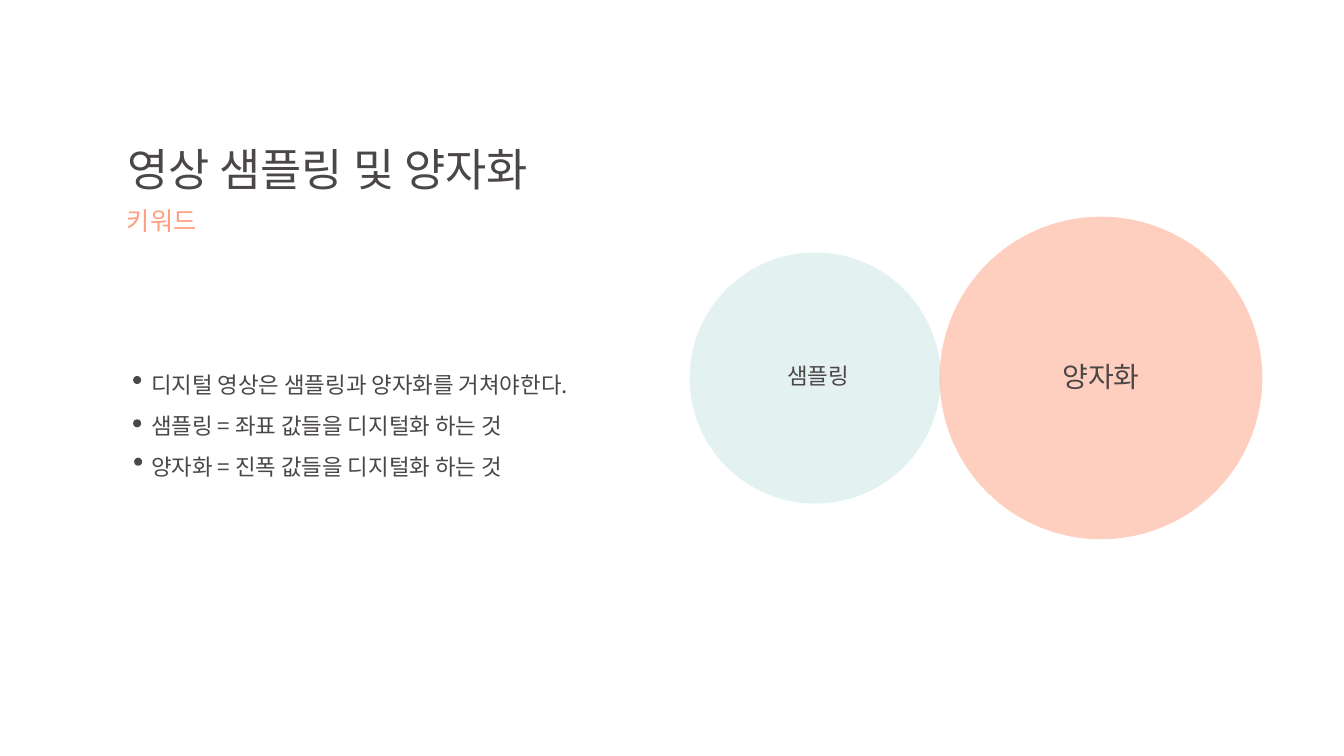
from dataclasses import dataclass

from lxml import etree
from pptx import Presentation
from pptx.dml.color import RGBColor
from pptx.enum.shapes import MSO_SHAPE
from pptx.enum.text import MSO_ANCHOR, PP_ALIGN
from pptx.oxml.ns import qn
from pptx.util import Inches, Pt

OVAL = MSO_SHAPE.OVAL
MIDDLE = MSO_ANCHOR.MIDDLE
LEFT, CENTER, RIGHT = PP_ALIGN.LEFT, PP_ALIGN.CENTER, PP_ALIGN.RIGHT

FONT = "Noto Sans CJK KR"
COLORS = {"ink": "4C4747", "coral": "FE9E7E", "mint": "C8E4E5", "white": "FFFFFF"}

# Grid: ten columns and ten rows to the inch
COLUMNS, ROWS = 133.3, 75
CELL = Inches(0.1)
MARGIN_COLUMN = 11.6
CIRCLE_AXIS = 37.5


@dataclass(frozen=True)
class Box:
    column: float
    row: float
    width: float
    height: float

    def lengths(self) -> tuple[int, ...]:
        return tuple(round(n * CELL) for n in (self.column, self.row, self.width, self.height))


@dataclass(frozen=True)
class Circle:
    left: float
    diameter: float
    color: str
    label: str
    label_box: Box
    size: int
    align: PP_ALIGN


@dataclass(frozen=True)
class Point:
    text: str
    dot_column: float
    dot_row: float


CIRCLES = (
    Circle(68.4, 24.9, "mint", "샘플링", Box(76.4, 35.4, 8.8, 3.7), 16, RIGHT),
    Circle(93.2, 32, "coral", "양자화", Box(104, 35.1, 10.4, 4.4), 20, CENTER),
)
POINTS = (
    Point("디지털 영상은 샘플링과 양자화를 거쳐야한다.", 13.2, 37.3),
    Point("샘플링 = 좌표 값들을 디지털화 하는 것", 13.2, 41.6),
    Point("양자화 = 진폭 값들을 디지털화 하는 것", 13.3, 45.4),
)
DOT = 0.8
TABLE_ROW = 36
TABLE_COLUMNS = (2.3, 56.6)
ROW_HEIGHT = 4.07


def write_text(frame, text: str, *, size: int, color: str = "ink", align=LEFT) -> None:
    frame.word_wrap = True
    paragraph = frame.paragraphs[0]
    paragraph.alignment = align
    run = paragraph.add_run()
    run.text = text
    run.font.size = Pt(size)
    run.font.bold = False
    run.font.name = FONT
    run.font.color.rgb = RGBColor.from_string(COLORS[color])
    east_asian = etree.SubElement(run.font._element, qn("a:ea"))
    east_asian.set("typeface", FONT)


def add_label(slide, box: Box, text: str, **text_format) -> None:
    frame = slide.shapes.add_textbox(*box.lengths()).text_frame
    frame.vertical_anchor = MIDDLE
    write_text(frame, text, **text_format)


def add_oval(slide, box: Box, color: str, opacity: int = 100) -> None:
    shape = slide.shapes.add_shape(OVAL, *box.lengths())
    shape.shadow.inherit = False
    shape.line.fill.background()
    shape.fill.solid()
    shape.fill.fore_color.rgb = RGBColor.from_string(COLORS[color])
    if opacity < 100:
        tone = shape._element.spPr.find(qn("a:solidFill"))[0]
        etree.SubElement(tone, qn("a:alpha")).set("val", str(opacity * 1000))


def set_borders(cell, bottom_width: int) -> None:
    properties = cell._tc.get_or_add_tcPr()
    widths = {"a:lnL": 1, "a:lnR": 1, "a:lnT": 1, "a:lnB": bottom_width}
    for index, (tag, width) in enumerate(widths.items()):
        line = etree.Element(qn(tag), w=str(Pt(width)))
        fill = etree.SubElement(line, qn("a:solidFill"))
        etree.SubElement(fill, qn("a:srgbClr")).set("val", COLORS["white"])
        properties.insert(index, line)


def add_points(slide) -> None:
    box = Box(MARGIN_COLUMN, TABLE_ROW, sum(TABLE_COLUMNS), ROW_HEIGHT * len(POINTS))
    table = slide.shapes.add_table(len(POINTS), len(TABLE_COLUMNS), *box.lengths()).table
    table.first_row = table.horz_banding = False
    for column, width in zip(table.columns, TABLE_COLUMNS):
        column.width = round(width * CELL)
    for index, point in enumerate(POINTS):
        for cell in table.rows[index].cells:
            cell.fill.background()
            cell.vertical_anchor = MIDDLE
            cell.margin_top = cell.margin_bottom = Inches(0.03)
            set_borders(cell, 3 if index == 0 else 1)
        write_text(table.cell(index, 1).text_frame, point.text, size=16)
    for point in POINTS:
        add_oval(slide, Box(point.dot_column, point.dot_row, DOT, DOT), "ink")


def add_circle(slide, circle: Circle) -> None:
    top = CIRCLE_AXIS - circle.diameter / 2
    add_oval(slide, Box(circle.left, top, circle.diameter, circle.diameter), circle.color, 50)
    add_label(slide, circle.label_box, circle.label, size=circle.size, align=circle.align)


def main() -> None:
    presentation = Presentation()
    presentation.slide_width = round(COLUMNS * CELL)
    presentation.slide_height = ROWS * CELL
    slide = presentation.slides.add_slide(presentation.slide_layouts[5])

    # Heading
    title = slide.shapes.title
    title.left, title.top, title.width, title.height = Box(MARGIN_COLUMN, 13.5, 47.1, 6.4).lengths()
    title.text_frame.vertical_anchor = MIDDLE
    write_text(title.text_frame, "영상 샘플링 및 양자화", size=32)
    add_label(slide, Box(MARGIN_COLUMN, 19.9, 9.6, 4), "키워드", size=18, color="coral")

    # Key points with their dots
    add_points(slide)

    # Touching circles
    for circle in CIRCLES:
        add_circle(slide, circle)

    presentation.save("out.pptx")


if __name__ == "__main__":
    main()
